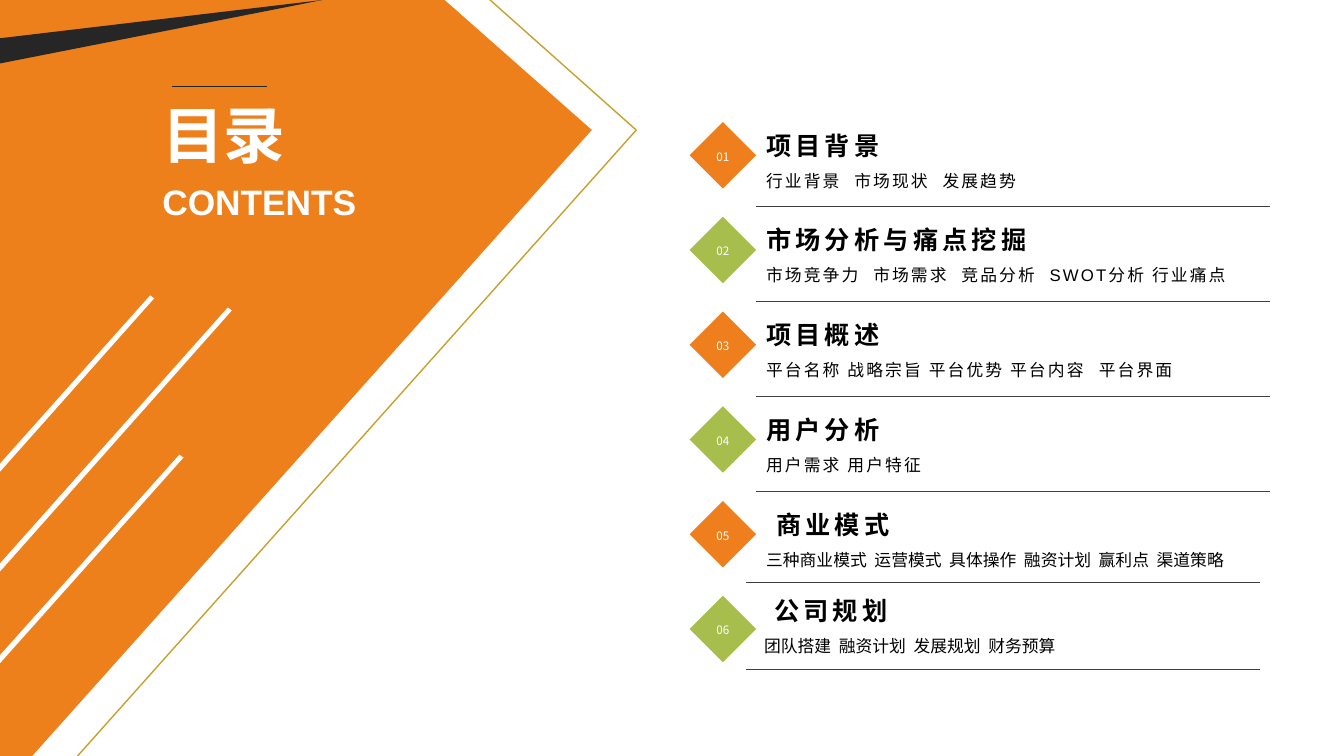
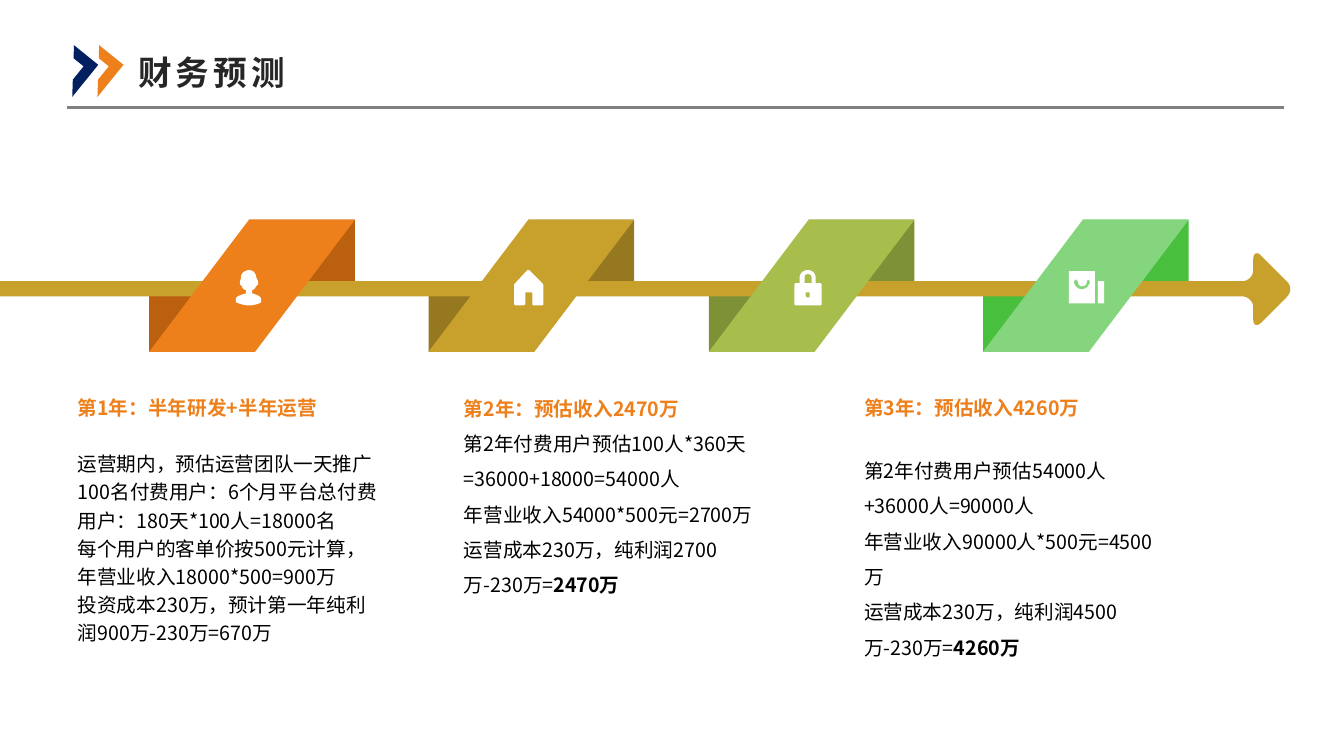
from lxml import etree
from pptx import Presentation
from pptx import util as u
from pptx.dml import color
from pptx.enum import shapes, text
from pptx.oxml import ns

ORANGE, GOLD, GREEN, MINT = "EE801C", "C8A02C", "A7BD4C", "84D57D"
WHITE, BLACK, INK, NAVY = "FFFFFF", "000000", "262626", "002060"
LATIN, HAN = "Arial", "Noto Sans CJK SC"

CONTENTS = [
    ("项目背景", ["行业背景", "市场现状", "发展趋势"]),
    ("市场分析与痛点挖掘", ["市场竞争力", "市场需求", "竞品分析", "SWOT分析 行业痛点"]),
    ("项目概述", ["平台名称 战略宗旨 平台优势 平台内容", "平台界面"]),
    ("用户分析", ["用户需求 用户特征"]),
    ("商业模式", ["三种商业模式", "运营模式", "具体操作", "融资计划", "赢利点", "渠道策略"]),
    ("公司规划", ["团队搭建", "融资计划", "发展规划", "财务预算"]),
]

PERSON = [[(0.25, 0.29), (0.25, 0.25, 0.18, 0.24, 0.16, 0.23), (0.16, 0.2),
           (0.18, 0.19, 0.19, 0.18, 0.2, 0.16), (0.21, 0.15, 0.22, 0.15, 0.22, 0.13),
           (0.22, 0.12, 0.22, 0.1, 0.21, 0.09), (0.2, 0.07),
           (0.2, 0.03, 0.17, 0, 0.13, 0), (0.09, 0, 0.05, 0.03, 0.05, 0.07), (0.05, 0.09),
           (0.04, 0.1, 0.04, 0.12, 0.04, 0.13), (0.04, 0.15, 0.05, 0.15, 0.06, 0.16),
           (0.06, 0.18, 0.08, 0.19, 0.1, 0.2), (0.1, 0.23),
           (0.08, 0.24, 0.01, 0.25, 0, 0.28), (0, 0.32),
           (0.01, 0.32, 0.06, 0.35, 0.13, 0.35), (0.2, 0.35, 0.25, 0.32, 0.25, 0.32)]]
HOUSE = [[(0.18, 0.23), (0.17, 0.22), (0.11, 0.22), (0.11, 0.34), (0.09, 0.35), (0.01, 0.35),
          (0, 0.34), (0, 0.14), (0.13, 0), (0.15, 0), (0.28, 0.13), (0.29, 0.15),
          (0.29, 0.34), (0.28, 0.35), (0.19, 0.35), (0.18, 0.34)]]
LOCK = [[(0.26, 0.13), (0.21, 0.13), (0.21, 0.08), (0.21, 0.03, 0.18, 0, 0.13, 0),
         (0.09, 0, 0.05, 0.03, 0.05, 0.08), (0.05, 0.13), (0.01, 0.13), (0, 0.14), (0, 0.34),
         (0.01, 0.35), (0.26, 0.35), (0.27, 0.34), (0.27, 0.14)],
        [(0.15, 0.22), (0.15, 0.27), (0.12, 0.27), (0.11, 0.25), (0.11, 0.22)],
        [(0.17, 0.13), (0.1, 0.13), (0.1, 0.08), (0.1, 0.05, 0.11, 0.04, 0.13, 0.04),
         (0.16, 0.04, 0.17, 0.05, 0.17, 0.08)]]
BAG = [[(0, 0), (0.26, 0), (0.26, 0.32), (0, 0.32)],
       [(0.05, 0.1), (0.07, 0.08), (0.09, 0.1), (0.09, 0.12, 0.1, 0.15, 0.13, 0.15),
        (0.16, 0.15, 0.18, 0.13, 0.18, 0.1), (0.19, 0.08), (0.21, 0.1),
        (0.21, 0.14, 0.17, 0.18, 0.13, 0.18), (0.09, 0.18, 0.05, 0.14, 0.05, 0.1)],
       [(0.29, 0.1), (0.35, 0.1), (0.35, 0.32), (0.29, 0.32)]]
ARROW = [[(0, 0.3), (12.32, 0.3), (12.38, 0.3, 12.43, 0.25, 12.43, 0.19), (12.43, 0.08),
          (12.43, 0.02, 12.47, 0, 12.51, 0.05), (12.76, 0.3),
          (12.81, 0.34, 12.81, 0.41, 12.76, 0.46), (12.51, 0.71),
          (12.47, 0.75, 12.43, 0.74, 12.43, 0.68), (12.43, 0.56),
          (12.43, 0.5, 12.38, 0.45, 12.32, 0.45), (0, 0.45)]]
RIBBONS = [(1.48, ORANGE, "BA600E", PERSON, 0.86, 0.5), (4.25, GOLD, "967821", HOUSE, 0.85, 0.5),
           (7.03, GREEN, "7F9136", LOCK, 0.85, 0.5), (9.75, MINT, "48C03E", BAG, 0.85, 0.51)]

YEARS = [
    (0.67, 3.83, 1.2, 20, "第1年：半年研发+半年运营", [
        ("运营期内，预估运营团队一天推广100名付费用户：6个月平台总付费用户：180天*100人=18000名", ""),
        ("每个用户的客单价按500元计算，年营业收入18000*500=900万", ""),
        ("投资成本230万，预计第一年纯利润900万-230万=670万", "")]),
    (4.5, 3.84, 1.5, 0, "第2年：预估收入2470万", [
        ("第2年付费用户预估100人*360天=36000+18000=54000人", ""),
        ("年营业收入54000*500元=2700万", ""),
        ("运营成本230万，纯利润2700万-230万=", "2470万")]),
    (8.47, 3.83, 1.5, 20, "第3年：预估收入4260万", [
        ("第2年付费用户预估54000人+36000人=90000人", ""),
        ("年营业收入90000人*500元=4500万", ""),
        ("运营成本230万，纯利润4500万-230万=", "4260万")]),
]


def rgb(value):
    return color.RGBColor.from_string(value)


def box(*lengths):
    return [u.Inches(length) for length in lengths]


def paint(shape, fill=None, line=None, width=1):
    shape.shadow.inherit = False
    if fill:
        shape.fill.solid()
        shape.fill.fore_color.rgb = rgb(fill)
    else:
        shape.fill.background()
    if line:
        shape.line.color.rgb = rgb(line)
        shape.line.width = u.Pt(width)
    else:
        shape.line.fill.background()


def preset(slide, kind, place, fill):
    shape = slide.shapes.add_shape(kind, *box(*place))
    paint(shape, fill)
    return shape


def flatten(contour, steps=8):
    points = []
    for vertex in contour:
        if len(vertex) == 2:
            points.append(vertex)
            continue
        controls = points[-1], vertex[:2], vertex[2:4], vertex[4:]
        for step in range(1, steps + 1):
            t = step / steps
            weights = ((1 - t) ** 3, 3 * t * (1 - t) ** 2, 3 * t * t * (1 - t), t ** 3)
            points.append(tuple(sum(w * p[axis] for w, p in zip(weights, controls))
                                for axis in (0, 1)))
    return points


def outline(slide, left, top, contours, **style):
    builder = None
    for contour in contours:
        first, *others = [box(left + x, top + y) for x, y in flatten(contour)]
        if builder is None:
            builder = slide.shapes.build_freeform(*first)
        else:
            builder.move_to(*first)
        builder.add_line_segments(others, close=True)
    paint(builder.convert_to_shape(), **style)


def rule(slide, left, top, width, ink, weight):
    line = slide.shapes.add_connector(shapes.MSO_CONNECTOR.STRAIGHT,
                                      *box(left, top, left + width, top))
    line.line.color.rgb = rgb(ink)
    line.line.width = u.Pt(weight)
    etree.SubElement(line._element.spPr, ns.qn("a:effectLst"))


def prepare(frame, anchor, insets):
    frame.word_wrap = True
    frame.auto_size = text.MSO_AUTO_SIZE.NONE
    frame.vertical_anchor = anchor
    (frame.margin_left, frame.margin_top,
     frame.margin_right, frame.margin_bottom) = box(*insets)


def begin(paragraph, spacing=1, before=0, align=text.PP_ALIGN.LEFT):
    props = paragraph._p.get_or_add_pPr()
    props.set("marL", "0")
    props.set("indent", "0")
    etree.SubElement(props, ns.qn("a:buNone"))
    paragraph.alignment = align
    paragraph.line_spacing = spacing
    paragraph.space_before = u.Pt(before)
    paragraph.space_after = u.Pt(0)


def add_run(paragraph, words, size, ink, bold=False, face=LATIN, tracking=0):
    run = paragraph.add_run()
    run.text = words
    run.font.size = u.Pt(size)
    run.font.bold = bold
    run.font.color.rgb = rgb(ink)
    run.font.name = face
    props = run.font._element
    etree.SubElement(props, ns.qn("a:ea"), typeface=HAN)
    if tracking:
        props.set("spc", str(round(tracking * 100)))


def text_box(slide, place, anchor, insets, spacing=1):
    frame = slide.shapes.add_textbox(*box(*place)).text_frame
    prepare(frame, anchor, insets)
    begin(frame.paragraphs[0], spacing)
    return frame.paragraphs[0]


def move(placeholder, place):
    placeholder.left, placeholder.top, placeholder.width, placeholder.height = box(*place)


def place_title(slide, place, words, anchor, insets, **style):
    title = slide.shapes.title
    move(title, place)
    slide.shapes._spTree.append(title._element)
    prepare(title.text_frame, anchor, insets)
    begin(title.text_frame.paragraphs[0])
    add_run(title.text_frame.paragraphs[0], words, bold=True, **style)


def cover_panel(slide):
    outline(slide, 0, 0, [[(0, 0), (4.41, 0), (5.87, 1.29), (0.32, 7.5), (0, 7.5)]], fill=ORANGE)
    for base, tip_x, tip_y in ((4.64, 1.51, 2.94), (5.63, 2.28, 3.06), (6.54, 1.8, 4.52)):
        outline(slide, 0, 0, [[(0, base - 0.04), (tip_x - 0.02, tip_y - 0.01),
                               (tip_x + 0.02, tip_y + 0.02), (0, base + 0.04)]], fill=WHITE)
    outline(slide, 0, 0, [[(0, 0.38), (3.2, 0), (0, 0.63)]], fill=INK)
    outline(slide, 0, 0, [[(-0.01, -0.01), (4.85, -0.01), (6.31, 1.29), (0.76, 7.51),
                           (-0.01, 7.51)]], line=GOLD)
    place_title(slide, (1.56, 0.9, 2.26, 0.79), "目录", text.MSO_ANCHOR.BOTTOM,
                (0.05, 0.05, 0.05, 0), size=44, ink=WHITE)
    subtitle = text_box(slide, (1.56, 1.74, 2.26, 0.52), text.MSO_ANCHOR.TOP,
                        (0.05, 0.05, 0.05, 0.05))
    add_run(subtitle, "CONTENTS", 25.2, WHITE, True)
    rule(slide, 1.71, 0.86, 0.94, INK, 0.5)


def contents_row(slide, index, left, top, height, late, heading, topics):
    diamond = preset(slide, shapes.MSO_SHAPE.DIAMOND, (6.84, 1.21 + 0.94 * index, 0.66, 0.66),
                     GREEN if index % 2 else "EE7F1C")
    prepare(diamond.text_frame, text.MSO_ANCHOR.MIDDLE, (0, 0, 0, 0))
    number = diamond.text_frame.paragraphs[0]
    begin(number, 1.2, align=text.PP_ALIGN.CENTER)
    add_run(number, f"{index + 1:02}", 8.3, WHITE, face=HAN)
    headline = text_box(slide, (left + (0.1 if late else 0), top, 5.09, 0.45),
                        text.MSO_ANCHOR.MIDDLE, (0.1, 0.05, 0.1, 0), 1.2)
    add_run(headline, heading, 18, BLACK, True, tracking=3)
    summary = text_box(slide, (left, top + 0.49, 5.09, 0.37), text.MSO_ANCHOR.TOP,
                       (0.1, 0, 0.1, 0.05), 1.2)
    face, tracking, gap = (HAN, 0, 2.7) if late else (LATIN, 1.5, 6.3)
    for position, topic in enumerate(topics):
        if position:
            add_run(summary, " ", 12, BLACK, face=face, tracking=gap)
        add_run(summary, topic, 12, BLACK, face=face, tracking=tracking)
    rule(slide, 7.4 if late else 7.5, top + height, 5.1, "404040", 0.25)


def contents_slide(deck):
    slide = deck.slides.add_slide(deck.slide_layouts[5])
    cover_panel(slide)
    for index, entry in enumerate(CONTENTS):
        late = index >= 4
        last = index == 5
        contents_row(slide, index, 7.48 if last else 7.5, 5.78 if last else 1.16 + 0.94 * index,
                     0.86 if late else 0.89, late, *entry)


def page_header(slide, heading):
    for left, fill in ((0.52, NAVY), (0.77, ORANGE)):
        chevron = preset(slide, shapes.MSO_SHAPE.HALF_FRAME, (left, 0.55, 0.41, 0.31), fill)
        chevron.rotation = 129
    place_title(slide, (1.27, 0.33, 2.23, 0.77), heading, text.MSO_ANCHOR.MIDDLE,
                (0.1, 0.05, 0.1, 0.05), size=24, ink=INK, tracking=3)
    rule(slide, 0.66, 1.07, 12.07, "808080", 2.25)


def timeline(slide, top):
    for left, _, shade, *_ in RIBBONS:
        for x, y in ((0, 0.63), (0.99, 0)):
            preset(slide, shapes.MSO_SHAPE.RECTANGLE, (left + x, top + y, 1.05, 0.68), shade)
    outline(slide, 0, top + 0.31, ARROW, fill=GOLD)
    for left, fill, _, icon, icon_x, icon_y in RIBBONS:
        outline(slide, left, top, [[(2.04, 0), (0.99, 0), (0, 1.31), (1.05, 1.31)]], fill=fill)
        outline(slide, left + icon_x, top + icon_y, icon, fill=WHITE)


def year_column(body, left, top, spacing, gap, heading, lines):
    move(body, (left, top, 3.24, 2.74))
    frame = body.text_frame
    prepare(frame, text.MSO_ANCHOR.TOP, (0.1, 0.05, 0.1, 0.05))
    begin(frame.paragraphs[0], 1.2)
    add_run(frame.paragraphs[0], heading, 14, ORANGE, True, HAN)
    for index, (words, result) in enumerate(lines):
        paragraph = frame.add_paragraph()
        begin(paragraph, spacing, 0 if index else gap)
        add_run(paragraph, words, 14, BLACK, face=HAN)
        if result:
            add_run(paragraph, result, 14, BLACK, True, HAN)


def forecast_slide(deck):
    slide = deck.slides.add_slide(deck.slide_layouts[4])
    bodies = [p for p in slide.placeholders if p.placeholder_format.idx > 0]
    spare = bodies.pop()
    spare._element.getparent().remove(spare._element)
    page_header(slide, "财务预测")
    timeline(slide, 2.18)
    for body, year in zip(bodies, YEARS):
        year_column(body, *year)


def main():
    deck = Presentation()
    deck.slide_width, deck.slide_height = box(13.33, 7.5)
    contents_slide(deck)
    forecast_slide(deck)
    deck.save("out.pptx")


if __name__ == "__main__":
    main()
